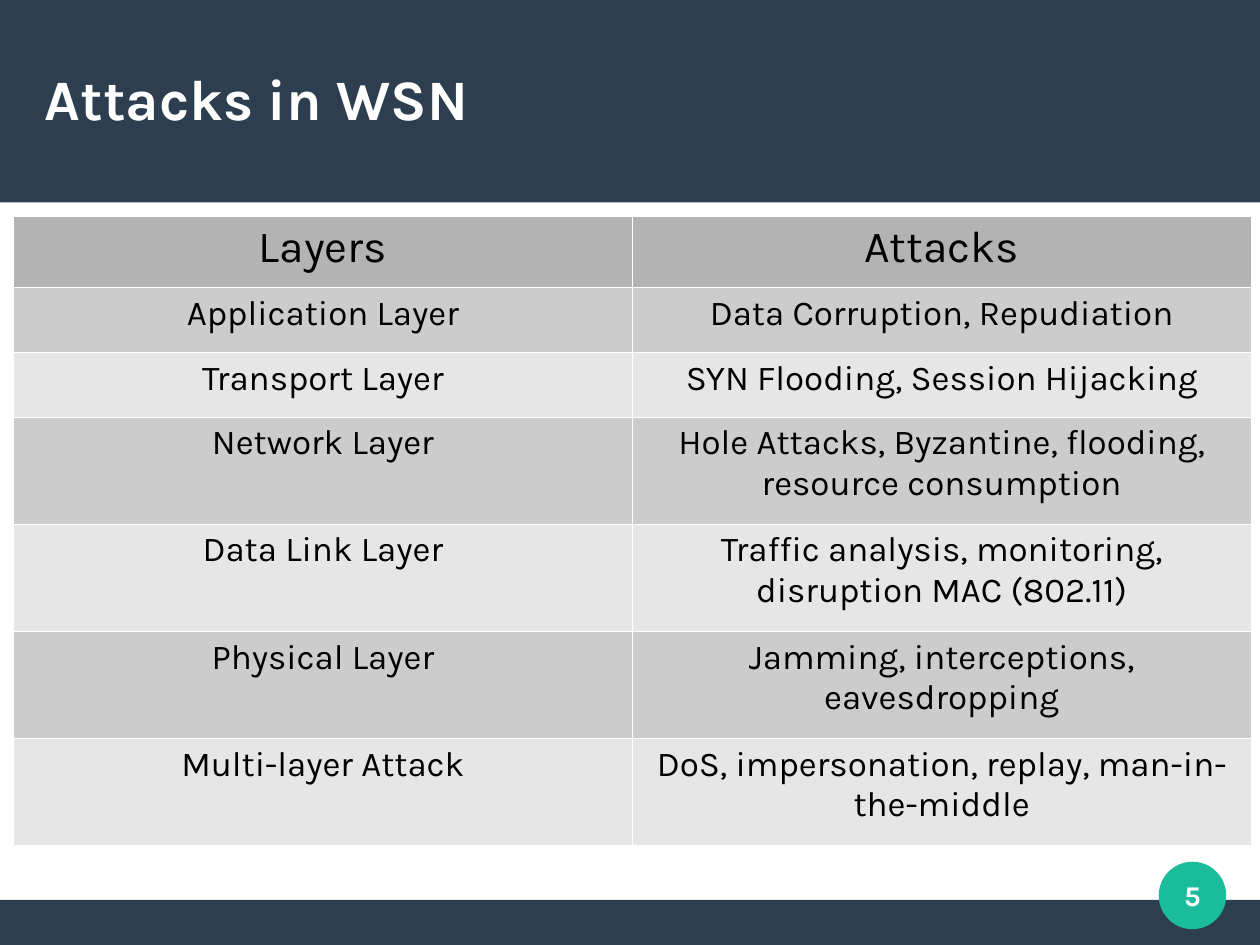
"""Build the slide that lists attacks in wireless sensor networks by layer."""
import lxml.etree
import pptx
import pptx.dml.color
import pptx.enum.shapes
import pptx.enum.text
import pptx.oxml.ns
import pptx.util

Cm = pptx.util.Cm
Pt = pptx.util.Pt
ALIGN = pptx.enum.text.PP_ALIGN
SHAPE = pptx.enum.shapes.MSO_SHAPE
NAVY, GREEN, WHITE, BLACK = "2C3E50", "1ABC9C", "FFFFFF", "000000"


def paint(color_format, hex_color):
    color_format.rgb = pptx.dml.color.RGBColor.from_string(hex_color)


def write(frame, text, size, color=BLACK, bold=False, align=ALIGN.CENTER):
    frame.word_wrap = True
    paragraph = frame.paragraphs[0]
    paragraph.alignment = align
    run = paragraph.add_run()
    run.text = text
    run.font.name = "Karla"
    run.font.size = Pt(size)
    run.font.bold = bold
    paint(run.font.color, color)


deck = pptx.Presentation()
deck.slide_width, deck.slide_height = Cm(28), Cm(21)
slide = deck.slides.add_slide(deck.slide_layouts[6])

for preset, left, top, width, height, color in [
    (SHAPE.RECTANGLE, 0, 20, 28, 1, NAVY),
    (SHAPE.RECTANGLE, 0, 0, 28, 4.5, NAVY),
    (SHAPE.OVAL, 25.75, 19.15, 1.5, 1.5, GREEN),
]:
    panel = slide.shapes.add_shape(preset, Cm(left), Cm(top), Cm(width), Cm(height))
    panel.shadow.inherit = False
    panel.fill.solid()
    paint(panel.fill.fore_color, color)
    panel.line.fill.background()

layer_attacks = [
    ("Layers", "Attacks"),
    ("Application Layer", "Data Corruption, Repudiation"),
    ("Transport Layer", "SYN Flooding, Session Hijacking"),
    ("Network Layer", "Hole Attacks, Byzantine, flooding, resource consumption"),
    ("Data Link Layer", "Traffic analysis, monitoring, disruption MAC (802.11)"),
    ("Physical Layer", "Jamming, interceptions, eavesdropping"),
    ("Multi-layer Attack", "DoS, impersonation, replay, man-in-the-middle"),
]
row_heights = [1.58] + [1.44] * 2 + [2.38] * 4
attack_table = slide.shapes.add_table(
    len(layer_attacks), 2, Cm(0.3), Cm(4.81), Cm(27.5), Cm(sum(row_heights))
).table
for column in attack_table.columns:
    column.width = Cm(13.75)

for index, (entries, height) in enumerate(zip(layer_attacks, row_heights)):
    attack_table.rows[index].height = Cm(height)
    shade = "B3B3B3" if index == 0 else ("E6E6E6", "CCCCCC")[index % 2]
    for cell, entry in zip(attack_table.rows[index].cells, entries):
        properties = cell._tc.get_or_add_tcPr()
        for side in ("a:lnL", "a:lnR", "a:lnT", "a:lnB"):
            border = lxml.etree.SubElement(
                properties, pptx.oxml.ns.qn(side), w=str(Pt(0.06))
            )
            border_fill = lxml.etree.SubElement(border, pptx.oxml.ns.qn("a:solidFill"))
            lxml.etree.SubElement(border_fill, pptx.oxml.ns.qn("a:srgbClr"), val=WHITE)
        cell.fill.solid()
        paint(cell.fill.fore_color, shade)
        write(cell.text_frame, entry, 28 if index == 0 else 22)

for text, left, top, width, height, size, align in [
    ("Attacks in WSN", 1, 0.85, 26, 2.66, 36, ALIGN.LEFT),
    ("5", 25.5, 18.9, 2, 2, 18, ALIGN.CENTER),
]:
    label = slide.shapes.add_textbox(Cm(left), Cm(top), Cm(width), Cm(height)).text_frame
    label.margin_left = label.margin_right = label.margin_top = label.margin_bottom = 0
    label.vertical_anchor = pptx.enum.text.MSO_ANCHOR.MIDDLE
    write(label, text, size, color=WHITE, bold=True, align=align)

deck.save("out.pptx")
